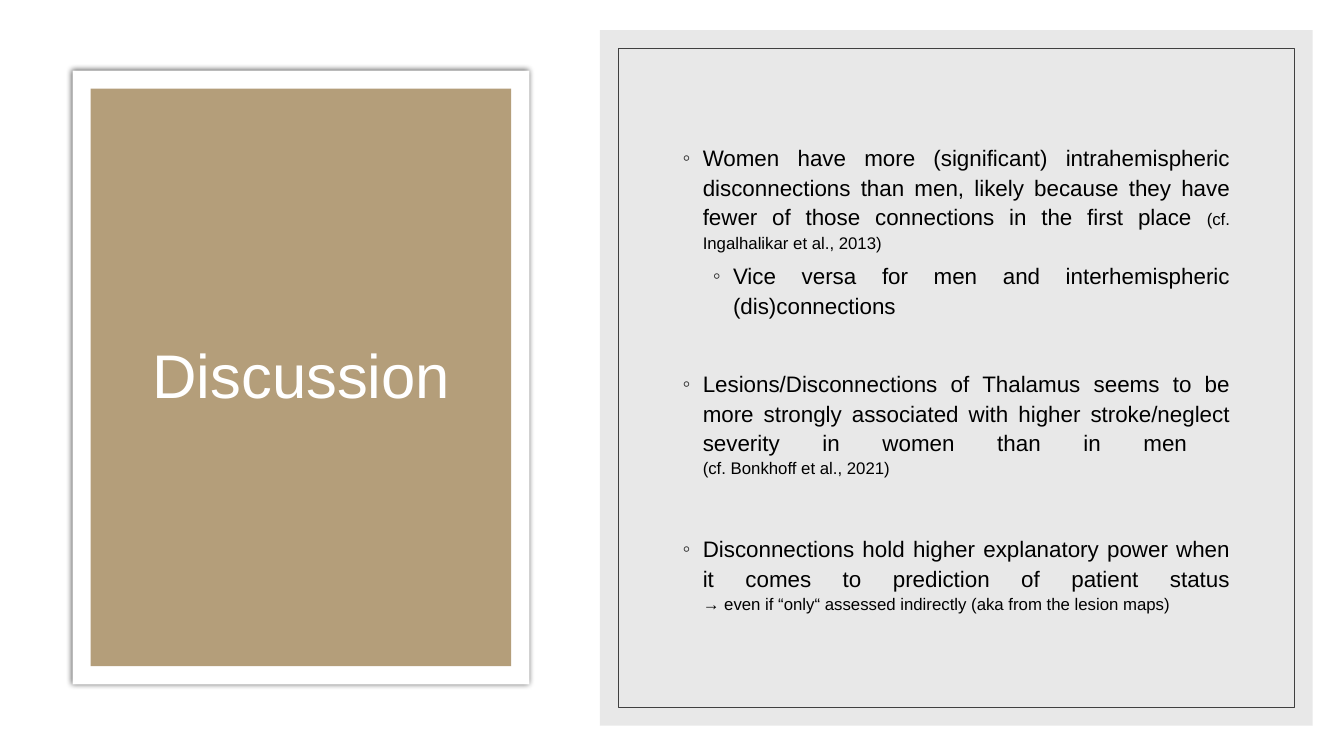
from lxml.etree import SubElement as Sub
from pptx import Presentation
from pptx.dml.color import RGBColor as Rgb
from pptx.enum.shapes import MSO_SHAPE as Shape
from pptx.enum.text import MSO_ANCHOR as Anchor, MSO_AUTO_SIZE as Fit, PP_ALIGN as Align
from pptx.oxml.ns import qn
from pptx.util import Inches, Pt

HUES = {"white": "FFFFFF", "tan": "B49E7A", "grey": "D9D9D9",
        "edge": "404040", "mark": "262626", "black": "000000"}
FRAME = {"word_wrap": True, "auto_size": Fit.NONE, "vertical_anchor": Anchor.MIDDLE}
EDGE = 0.18
POINTS = [
    (0, 0, "Women have more (significant) intrahemispheric disconnections than men, "
     "likely because they have fewer of those connections in the first place ",
     False, "(cf. Ingalhalikar et al., 2013)"),
    (1, 5, "Vice versa for men and interhemispheric (dis)connections", False, ""),
    (0, 35, "Lesions/Disconnections of Thalamus seems to be more strongly associated "
     "with higher stroke/neglect severity in women than in men ",
     True, "(cf. Bonkhoff et al., 2021)"),
    (0, 39, "Disconnections hold higher explanatory power when it comes to "
     "prediction of patient status",
     True, "→ even if “only“ assessed indirectly (aka from the lesion maps)"),
]


def color(name):
    return Rgb.from_string(HUES[name])


def apply(item, values):
    for key, value in values.items():
        setattr(item, key, value)


def place(item, box):
    apply(item, dict(zip(("left", "top", "width", "height"), map(Inches, box))))


def inset(box, gap):
    left, top, width, height = box
    return left + gap, top + gap, width - 2 * gap, height - 2 * gap


def panel(slide, box, fill=None, line=None):
    shape = slide.shapes.add_shape(Shape.RECTANGLE, *map(Inches, box))
    shape.shadow.inherit = False
    if fill:
        shape.fill.solid()
        shape.fill.fore_color.rgb = color(fill)
    else:
        shape.fill.background()
    if line:
        shape.line.color.rgb = color(line)
        shape.line.width = Pt(0.5)
    else:
        shape.line.fill.background()
    return shape


def fade(node, share):
    Sub(node, qn("a:alpha"), val=str(share * 1000))


def glow(shape):
    effect = shape._element.spPr.find(qn("a:effectLst"))
    shade = Sub(effect, qn("a:outerShdw"), blurRad=str(Pt(4)), dist="0", dir="0",
                algn="ctr", rotWithShape="0")
    fade(Sub(shade, qn("a:srgbClr"), val=HUES["black"]), 66)


def seat(slide, holder, box):
    slide.shapes._spTree.append(holder._element)
    place(holder, box)
    apply(holder.text_frame, FRAME)
    return holder.text_frame


def write(para, text, size, hue):
    run = para.add_run()
    run.text = text
    apply(run.font, {"name": "Arial", "size": Pt(size)})
    run.font.color.rgb = color(hue)


def bullet(para, level):
    props = para._p.get_or_add_pPr()
    props.set("marL", str(Inches(0.2 + 0.3 * level)))
    props.set("indent", str(Inches(-0.2)))
    Sub(Sub(props, qn("a:buClr")), qn("a:srgbClr"), val=HUES["mark"])
    Sub(props, qn("a:buFont"), typeface="Arial")
    Sub(props, qn("a:buChar"), char="◦")


def heading(slide, box):
    glow(panel(slide, box, "white"))
    panel(slide, inset(box, EDGE), "tan")
    left, top, width, height = box
    frame = seat(slide, slide.shapes.title,
                 (left + 0.36, top + 0.6, width - 0.71, height - 1.18))
    para = frame.paragraphs[0]
    apply(para, {"alignment": Align.CENTER, "line_spacing": 0.9})
    write(para, "Discussion", 44, "white")


def findings(slide, box):
    back = panel(slide, box, "grey")
    fade(back._element.spPr.find(qn("a:solidFill"))[0], 60)
    panel(slide, inset(box, EDGE), line="edge")
    frame = seat(slide, slide.placeholders[1], inset(box, 0.72))
    for index, (level, gap, text, split, note) in enumerate(POINTS):
        para = frame.add_paragraph() if index else frame.paragraphs[0]
        bullet(para, level)
        apply(para, {"level": level, "alignment": Align.JUSTIFY, "line_spacing": 1.1,
                     "space_before": Pt(gap), "space_after": Pt(0)})
        write(para, text, 16, "black")
        if split:
            para.add_line_break()
        if note:
            write(para, note, 12, "black")


def main():
    deck = Presentation()
    apply(deck, {"slide_width": Inches(13.33), "slide_height": Inches(7.5)})
    slide = deck.slides.add_slide(deck.slide_layouts[1])
    panel(slide, (0, 0, 13.33, 7.5), "white")
    heading(slide, (0.72, 0.7, 4.53, 6.09))
    findings(slide, (5.95, 0.3, 7.07, 6.9))
    deck.save("out.pptx")


if __name__ == "__main__":
    main()
